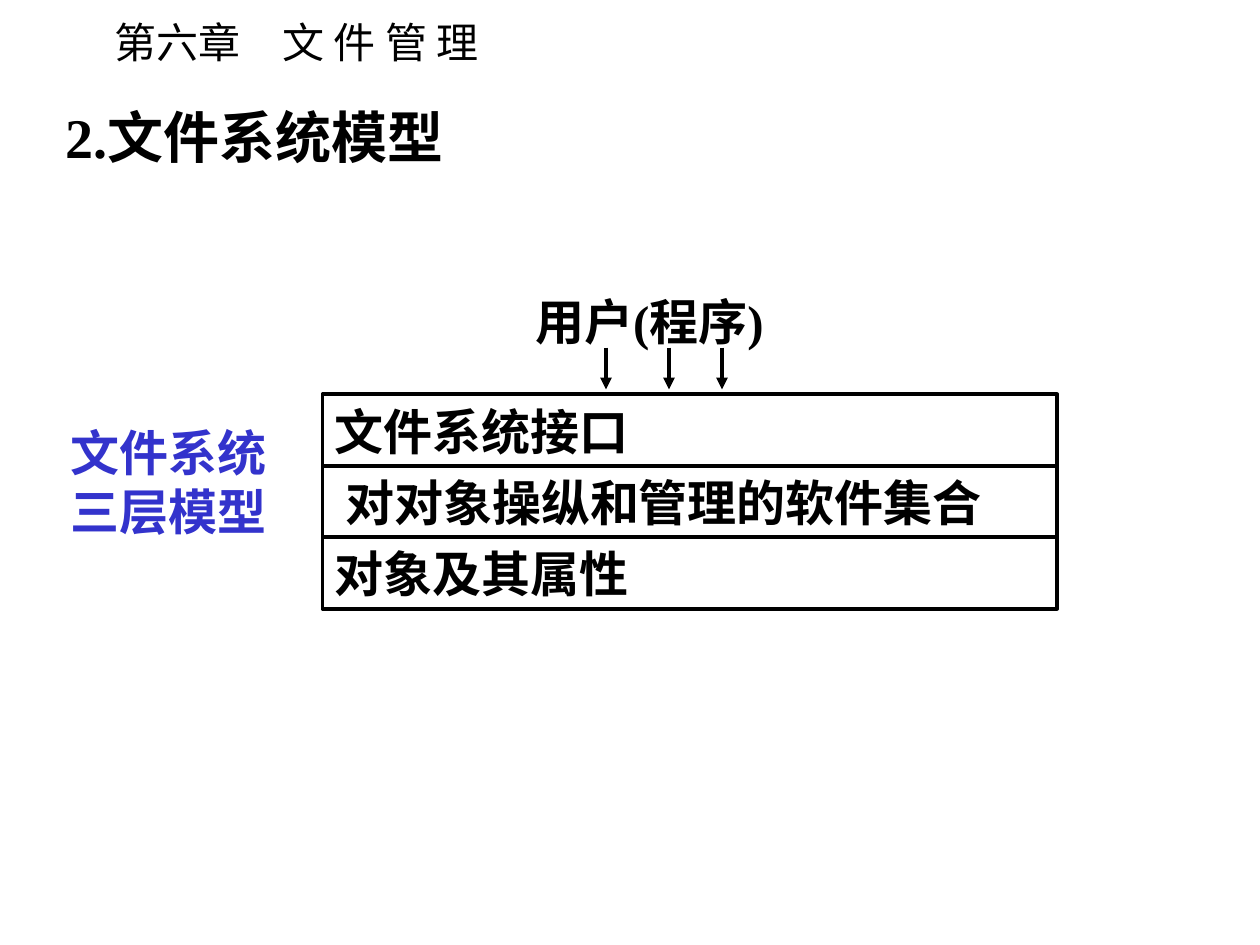
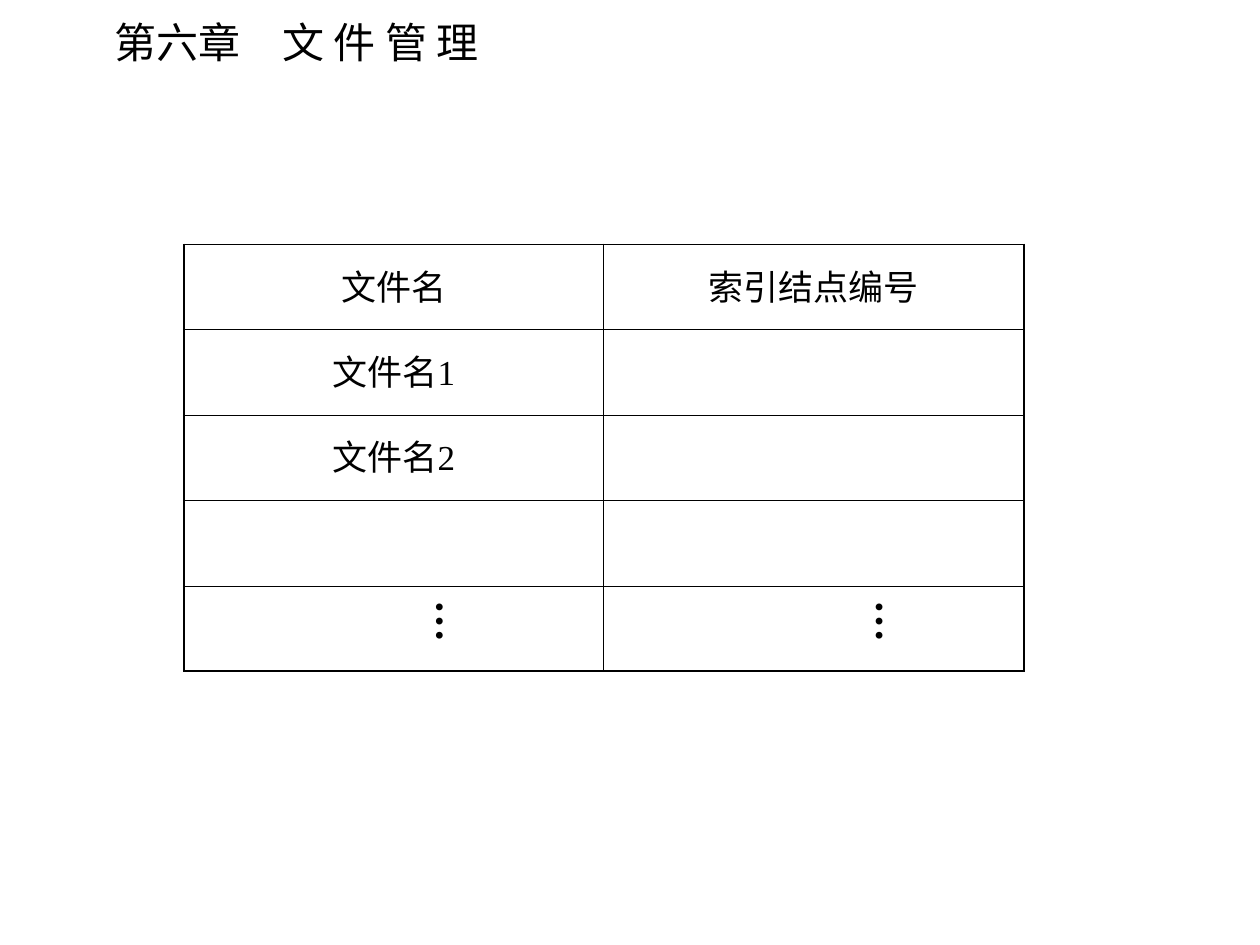
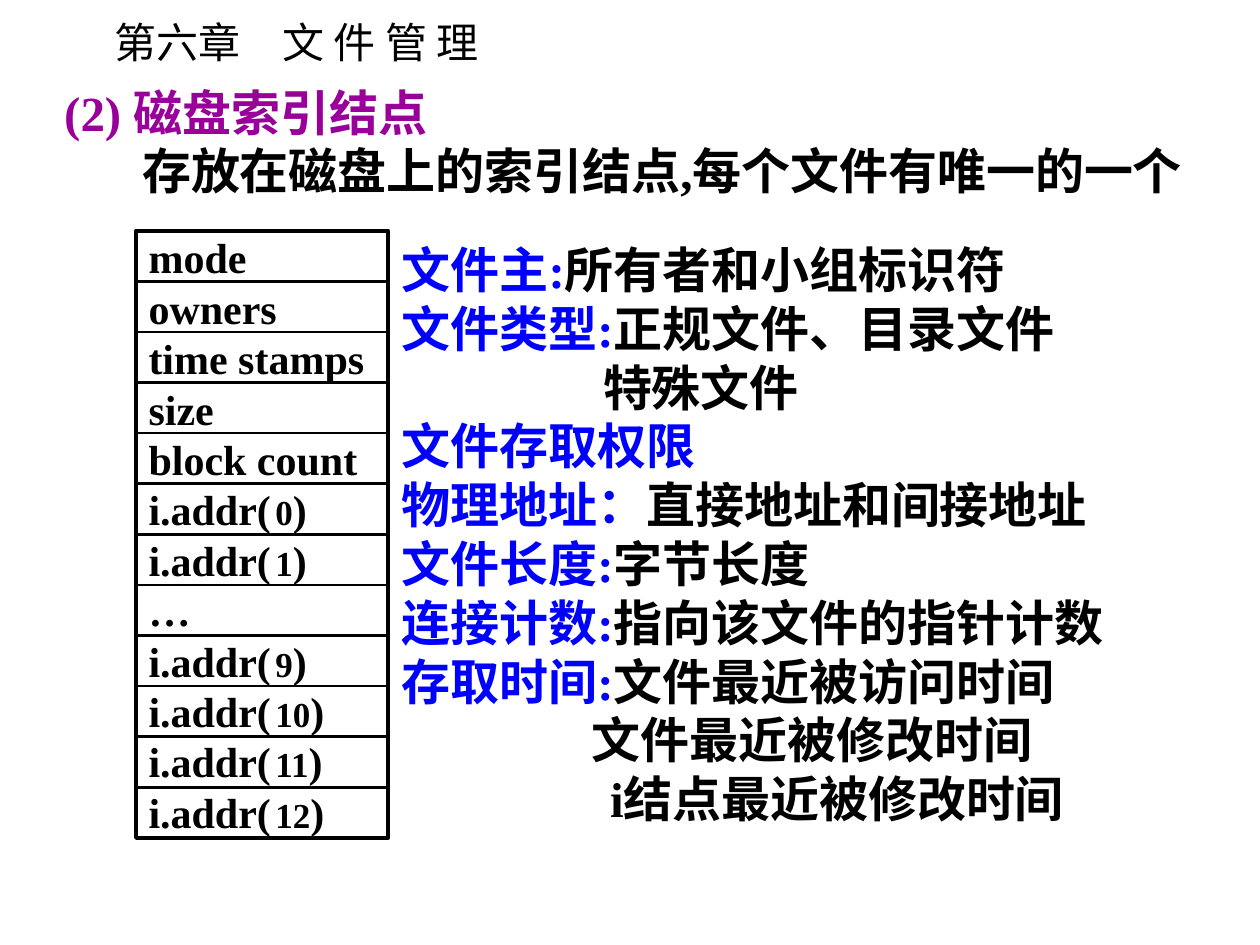
from lxml.etree import SubElement
from pptx import Presentation
from pptx.dml.color import RGBColor
from pptx.enum.shapes import MSO_CONNECTOR, MSO_SHAPE
from pptx.enum.text import MSO_ANCHOR, MSO_AUTO_SIZE, PP_ALIGN
from pptx.oxml import parse_xml
from pptx.oxml.ns import nsdecls, qn
from pptx.util import Pt

BLACK = RGBColor(0x00, 0x00, 0x00)
INDIGO = RGBColor(0x33, 0x33, 0xCC)
PURPLE = RGBColor(0x99, 0x00, 0x99)
BLUE = RGBColor(0x00, 0x00, 0xFF)
LATIN = "Times New Roman"
CHINESE = "Noto Sans CJK SC"
TITLE_ONLY, BLANK = 5, 6
LINE_HEIGHT = 1.2
OUTER_BORDER, INNER_BORDER = 1.08, 0.45

# A paragraph is (left indent, runs); a run is (text, colour) plus optional size and font.
CHAPTER = [(0, [("第六章　文 件 管 理", BLACK, 24, CHINESE)])]

MODEL_TITLE = [(0, [("2.文件系统模型", BLACK)])]
MODEL_LABEL = [(0, [(text, INDIGO)]) for text in ("文件系统", "三层模型")]
MODEL_USER = [(0, [("用户(程序)", BLACK)])]
MODEL_LAYERS = [
    (0, [("文件系统接口", BLACK)]),
    (6, [("对对象操纵和管理的软件集合", BLACK)]),
    (0, [("对象及其属性", BLACK)]),
]
USER_ARROWS = [346.3, 382.3, 412.6]

DIRECTORY = [
    ("文件名", "索引结点编号"),
    ("文件名1", ""),
    ("文件名2", ""),
    ("", ""),
    ("", ""),
]
ELLIPSIS = [(0, [("…", BLACK)])]
ELLIPSIS_LEFTS = [234, 485.3]

INODE_TITLE = [
    (0, [("(2) 磁盘索引结点", PURPLE)]),
    (44.5, [("存放在磁盘上的索引结点,每个文件有唯一的一个", BLACK)]),
]
INODE_FIELDS = ["mode", "owners", "time stamps", "size", "block count",
                0, 1, "…", 9, 10, 11, 12]
INODE_NOTES = [
    (0, [("文件主:", BLUE), ("所有者和小组标识符", BLACK)]),
    (0, [("文件类型:", BLUE), ("正规文件、目录文件", BLACK)]),
    (115, [("特殊文件", BLACK)]),
    (0, [("文件存取权限", BLUE, 28, CHINESE)]),
    (0, [("物理地址：", BLUE, 28, CHINESE), ("直接地址和间接地址", BLACK)]),
    (0, [("文件长度:", BLUE), ("字节长度", BLACK)]),
    (0, [("连接计数:", BLUE), ("指向该文件的指针计数", BLACK)]),
    (0, [("存取时间:", BLUE), ("文件最近被访问时间", BLACK)]),
    (108.5, [("文件最近被修改时间", BLACK)]),
    (119, [("i结点最近被修改时间", BLACK)]),
]


def field_paragraph(field):
    """Numbers stand for address slots, whose index is set smaller."""
    if isinstance(field, str):
        return 0, [(field, BLACK)]
    return 0, [("i.addr(", BLACK), (" ", BLACK, 10), (str(field), BLACK, 20), (")", BLACK)]


def add_run(paragraph, text, color, size, font=LATIN, bold=True):
    run = paragraph.add_run()
    run.text = text
    run.font.size = Pt(size)
    run.font.bold = bold
    run.font.color.rgb = color
    run.font.name = font
    SubElement(run.font._element, qn("a:ea")).set("typeface", CHINESE)


def write(shape, paragraphs, size=28, bold=True, wrap=False, gap=0,
          anchor=MSO_ANCHOR.MIDDLE):
    frame = shape.text_frame
    frame.word_wrap = wrap
    frame.auto_size = MSO_AUTO_SIZE.SHAPE_TO_FIT_TEXT
    frame.vertical_anchor = anchor
    for index, (indent, runs) in enumerate(paragraphs):
        paragraph = frame.add_paragraph() if index else frame.paragraphs[0]
        paragraph.alignment = PP_ALIGN.LEFT
        paragraph.line_spacing = Pt(size * LINE_HEIGHT)
        paragraph.space_before = Pt(gap if index else 0)
        if indent:
            properties = paragraph._p.get_or_add_pPr()
            properties.set("marL", str(Pt(indent)))
            properties.set("indent", "0")
        for text, color, *style in runs:
            run_size, font = (style + [size, LATIN][len(style):])
            add_run(paragraph, text, color, run_size, font, bold)


def add_text(slide, box, paragraphs, **options):
    shape = slide.shapes.add_textbox(*map(Pt, box))
    write(shape, paragraphs, **options)
    return shape


def set_title(slide, box, paragraphs, **options):
    title = slide.shapes.title
    title.left, title.top, title.width, title.height = map(Pt, box)
    write(title, paragraphs, **options)


def add_line(slide, start, end, width, arrow=False):
    line = slide.shapes.add_connector(MSO_CONNECTOR.STRAIGHT, *map(Pt, start + end))
    line.line.color.rgb = BLACK
    line.line.width = Pt(width)
    if arrow:
        SubElement(line.line._get_or_add_ln(), qn("a:tailEnd")).set("type", "triangle")
    SubElement(line._element.spPr, qn("a:effectLst"))


def add_divided_box(slide, box, paragraphs, divider_width, **options):
    """Draw a framed list with one equal row for each paragraph."""
    left, top, width, height = box
    shape = slide.shapes.add_shape(MSO_SHAPE.RECTANGLE, *map(Pt, box))
    shape.shadow.inherit = False
    shape.fill.background()
    shape.line.color.rgb = BLACK
    shape.line.width = Pt(2.25)
    write(shape, paragraphs, wrap=True, **options)
    for row in range(1, len(paragraphs)):
        y = top + height * row / len(paragraphs)
        add_line(slide, (left, y), (left + width, y), divider_width)


def set_borders(cell, outer_sides):
    properties = cell._tc.get_or_add_tcPr()
    for index, side in enumerate("LRTB"):
        width = Pt(OUTER_BORDER if side in outer_sides else INNER_BORDER)
        properties.insert(index, parse_xml(
            f'<a:ln{side} {nsdecls("a")} w="{width}"><a:solidFill>'
            f'<a:srgbClr val="{BLACK}"/></a:solidFill></a:ln{side}>'))


def add_directory_table(slide):
    rows, columns = len(DIRECTORY), len(DIRECTORY[0])
    table = slide.shapes.add_table(
        rows, columns, Pt(105), Pt(139.7), Pt(480), Pt(244)).table
    table.first_row = table.horz_banding = False
    for row, texts in enumerate(DIRECTORY):
        for column, text in enumerate(texts):
            cell = table.cell(row, column)
            cell.fill.background()
            cell.margin_top = Pt(8.6)
            outer_sides = "LR"[column]
            if row == 0:
                outer_sides += "T"
            elif row == rows - 1:
                outer_sides += "B"
            set_borders(cell, outer_sides)
            if text:
                paragraph = cell.text_frame.paragraphs[0]
                paragraph.alignment = PP_ALIGN.CENTER
                add_run(paragraph, text, BLACK, 20, bold=False)


def add_slide(presentation, layout):
    return presentation.slides.add_slide(presentation.slide_layouts[layout])


def add_chapter_to_master(presentation, slide):
    header = add_text(slide, (58.3, 5.8, 227.5, 36), CHAPTER, size=24, bold=False,
                      anchor=MSO_ANCHOR.TOP)
    presentation.slide_master.shapes.element.append(header.element)


def build_model_slide(slide):
    set_title(slide, (30.2, 54.7, 238.3, 46), MODEL_TITLE, size=32, anchor=MSO_ANCHOR.TOP)
    add_divided_box(slide, (184.3, 225.4, 419.8, 122.4), MODEL_LAYERS, 2.25, gap=7)
    add_text(slide, (33.1, 237.6, 126, 74.9), MODEL_LABEL)
    add_text(slide, (298.8, 162.7, 164.9, 41), MODEL_USER)
    for x in USER_ARROWS:
        add_line(slide, (x, 198.7), (x, 222.5), 2.25, arrow=True)


def build_directory_slide(slide):
    add_directory_table(slide)
    for left in ELLIPSIS_LEFTS:
        shape = add_text(slide, (left, 336.2, 43.2, 31.7), ELLIPSIS, size=24,
                         anchor=MSO_ANCHOR.TOP)
        frame = shape.text_frame
        frame.margin_left = frame.margin_right = Pt(3.6)
        frame.margin_top = frame.margin_bottom = Pt(7.2)
        frame._txBody.bodyPr.set("vert", "eaVert")


def build_inode_slide(slide):
    set_title(slide, (29.5, 26.6, 690.5, 108), INODE_TITLE, wrap=True)
    add_divided_box(slide, (77.8, 131.8, 144, 347), list(map(field_paragraph, INODE_FIELDS)),
                    1.5, size=24)
    add_text(slide, (222.5, 133.2, 497.5, 343.4), INODE_NOTES)


def main():
    presentation = Presentation()
    presentation.slide_width, presentation.slide_height = Pt(720), Pt(540)
    model_slide = add_slide(presentation, TITLE_ONLY)
    add_chapter_to_master(presentation, model_slide)
    build_model_slide(model_slide)
    build_directory_slide(add_slide(presentation, BLANK))
    build_inode_slide(add_slide(presentation, TITLE_ONLY))
    presentation.save("out.pptx")


if __name__ == "__main__":
    main()
